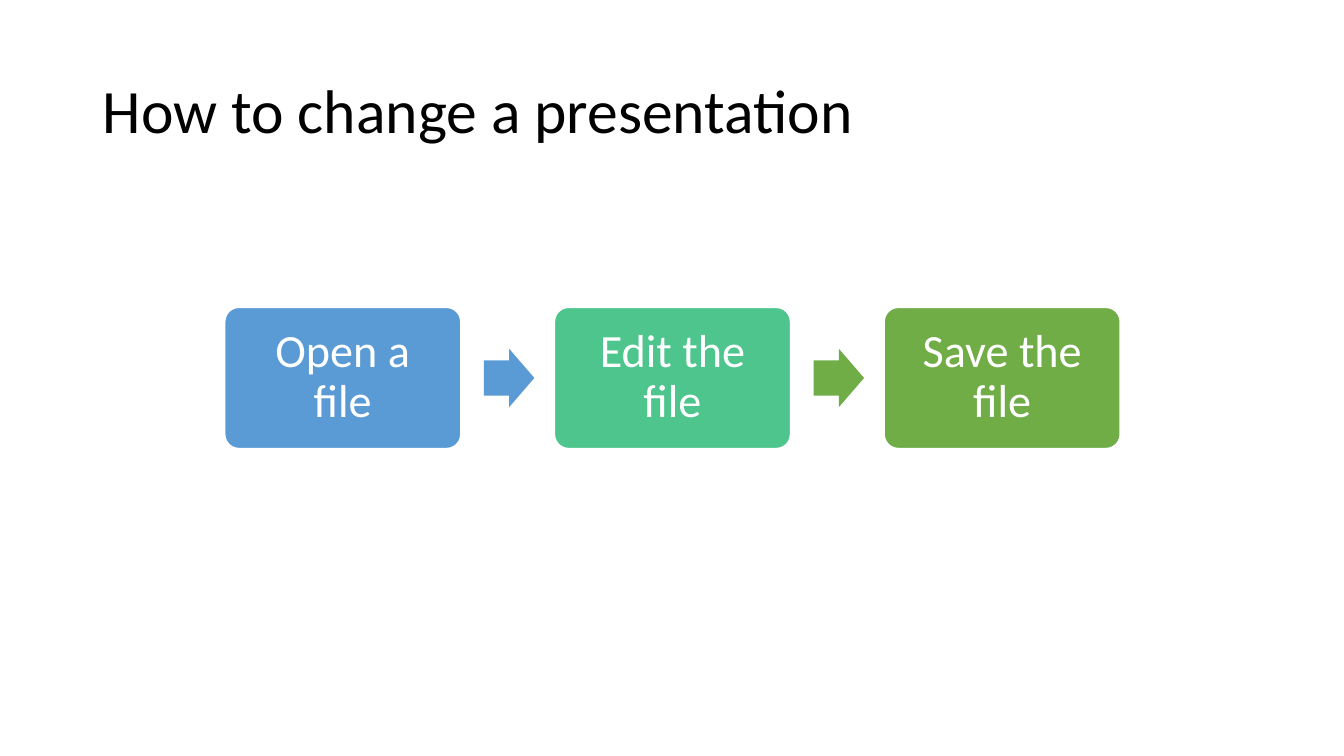
from dataclasses import dataclass

from pptx import Presentation
from pptx.dml.color import RGBColor
from pptx.enum.shapes import MSO_SHAPE
from pptx.enum.text import MSO_ANCHOR, MSO_AUTO_SIZE, PP_ALIGN
from pptx.util import Inches, Pt


@dataclass(frozen=True)
class Theme:
    font: str = "Calibri"
    title_size: int = 44
    step_size: int = 33
    black: str = "000000"
    white: str = "FFFFFF"
    blue: str = "5B9BD5"
    teal: str = "4DC58D"
    green: str = "70AD47"


theme = Theme()


def set_text(tf, text, size, color, align):
    tf.text = text
    tf.word_wrap = True
    tf.auto_size = MSO_AUTO_SIZE.NONE
    tf.vertical_anchor = MSO_ANCHOR.MIDDLE
    p = tf.paragraphs[0]
    p.alignment = align
    p.line_spacing = 0.9
    p.font.name = theme.font
    p.font.size = Pt(size)
    p.font.color.rgb = RGBColor.from_string(color)


def add_block(s, kind, left, width, height, color):
    # Every block is centred on the middle line of the slide
    sp = s.shapes.add_shape(kind, Inches(left), Inches((SLIDE_H - height) / 2),
                            Inches(width), Inches(height))
    sp.shadow.inherit = False
    sp.fill.solid()
    sp.fill.fore_color.rgb = RGBColor.from_string(color)
    sp.line.fill.background()
    return sp


# Slide
SLIDE_W, SLIDE_H = 13.33, 7.5
prs = Presentation()
prs.slide_width, prs.slide_height = Inches(SLIDE_W), Inches(SLIDE_H)
s = prs.slides.add_slide(prs.slide_layouts[5])

# Title
title = s.shapes.title
title.left, title.top = Inches(0.92), Inches(0.4)
title.width, title.height = Inches(11.5), Inches(1.45)
set_text(title.text_frame, "How to change a presentation",
         theme.title_size, theme.black, PP_ALIGN.LEFT)

# Process grid: one column per step, with the arrow in its gap
LEFT, PITCH = 2.23, 3.27
STEP_W, STEP_H = 2.34, 1.4
ARROW_X, ARROW_W, ARROW_H = 2.57, 0.5, 0.58
INSET = Inches(0.18)

# Each step: label, box colour, colour of the arrow that follows
steps = [
    ("Open a file", theme.blue, theme.blue),
    ("Edit the file", theme.teal, theme.green),
    ("Save the file", theme.green, None),
]

for col, (label, color, arrow_color) in enumerate(steps):
    x = LEFT + col * PITCH

    # Step box
    box = add_block(s, MSO_SHAPE.ROUNDED_RECTANGLE, x, STEP_W, STEP_H, color)
    box.adjustments[0] = 0.1
    box.line.color.rgb = RGBColor.from_string(theme.white)
    box.line.width = Pt(1)
    tf = box.text_frame
    tf.margin_left = tf.margin_right = tf.margin_top = tf.margin_bottom = INSET
    set_text(tf, label, theme.step_size, theme.white, PP_ALIGN.CENTER)

    # Arrow to the next step
    if arrow_color:
        arrow = add_block(s, MSO_SHAPE.RIGHT_ARROW, x + ARROW_X,
                          ARROW_W, ARROW_H, arrow_color)
        arrow.adjustments[0] = 0.6
        arrow.adjustments[1] = 0.5

prs.save("out.pptx")
